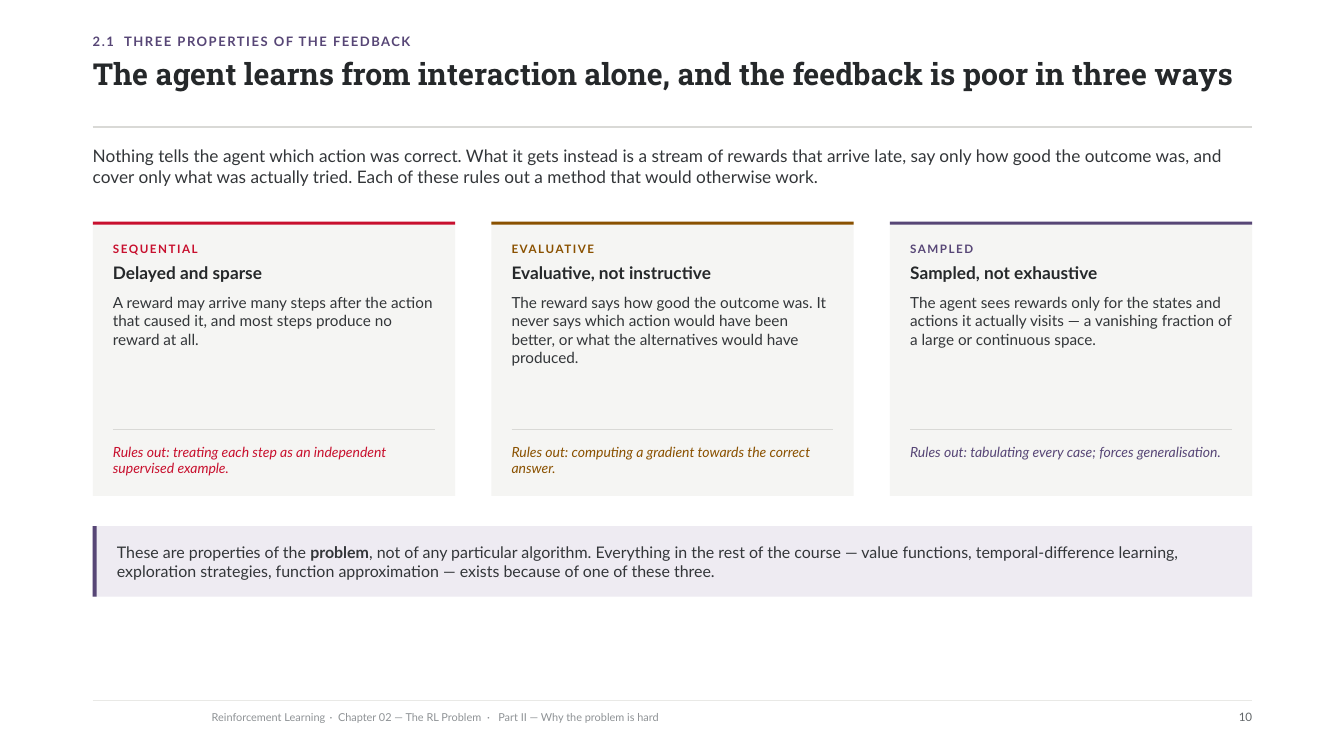
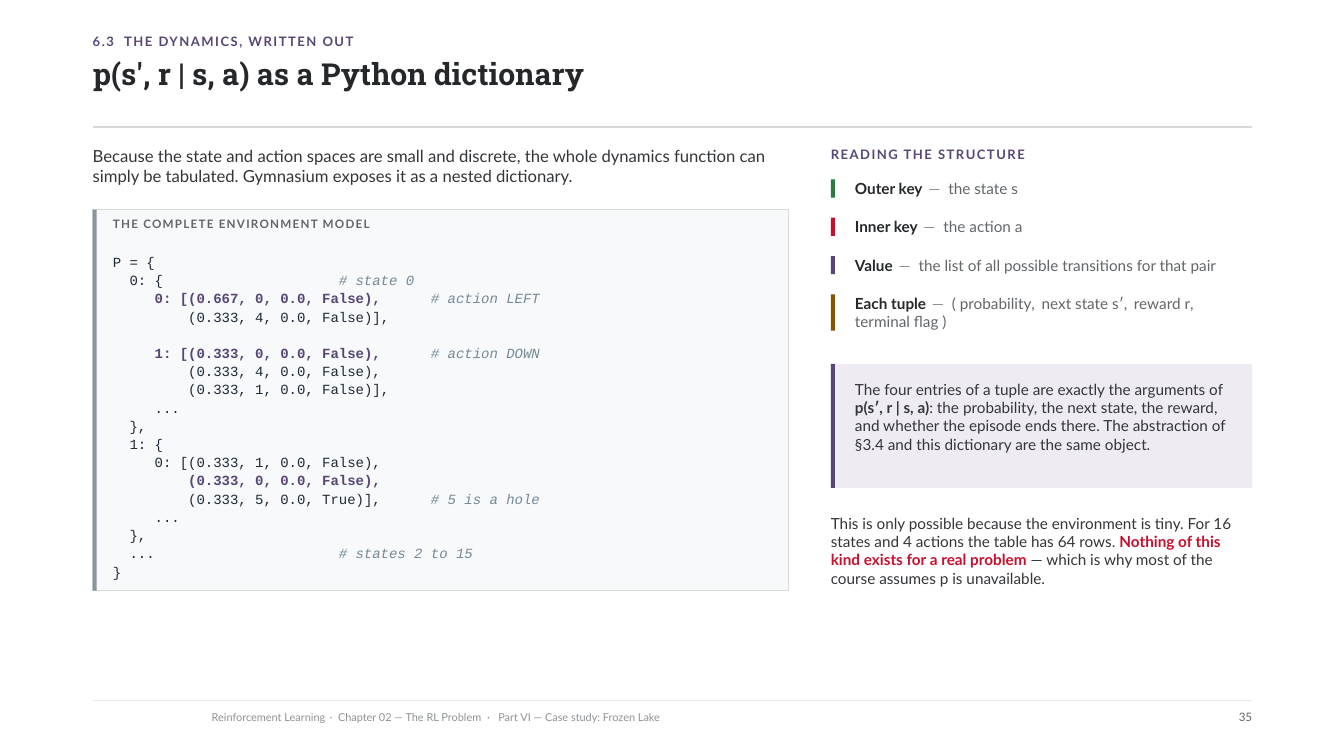
from dataclasses import dataclass, replace

from lxml import etree
from pptx import Presentation
from pptx.dml.color import RGBColor
from pptx.enum.shapes import MSO_CONNECTOR, MSO_SHAPE
from pptx.enum.text import MSO_ANCHOR, MSO_AUTO_SIZE, PP_ALIGN
from pptx.oxml.ns import qn
from pptx.util import Inches, Pt

RECTANGLE = MSO_SHAPE.RECTANGLE
STRAIGHT = MSO_CONNECTOR.STRAIGHT
TOP = MSO_ANCHOR.TOP
NO_AUTOFIT = MSO_AUTO_SIZE.NONE
ALIGN_LEFT, ALIGN_RIGHT = PP_ALIGN.LEFT, PP_ALIGN.RIGHT

PURPLE, RED, BROWN, GREEN = "574676", "C8102E", "8A5100", "2B7A3E"
INK, TEXT, GREY, PALE_GREY = "25282A", "333639", "626669", "8E9295"
RULE, FOOTER_RULE, CARD_FILL, CALLOUT_FILL = "D9D9D6", "E9E9E6", "F5F5F3", "EEEBF2"
CODE_FILL, CODE_BAR, CODE_INK, CODE_COMMENT = "F7F9FB", "8A959E", "1F2A37", "768896"

LEFT, WIDTH = 0.92, 11.5
RIGHT = LEFT + WIDTH
BAR = 0.04
PADDING = 0.2
INDENT = 0.24


@dataclass(frozen=True)
class Style:
    size: float
    color: str = TEXT
    bold: bool = False
    italic: bool = False
    spacing: float = 0
    font: str = "Lato"


KICKER = Style(9.3, PURPLE, bold=True, spacing=1.1)
TITLE = Style(21.6, INK, bold=True, font="Roboto Slab")
FOOTER = Style(7.8, PALE_GREY)
PAGE_NUMBER = Style(8.3, GREY)
BODY = Style(10.9)
CODE = Style(10, CODE_INK, font="Courier New")

FEEDBACK = {
    "number": "2.1",
    "kicker": "THREE PROPERTIES OF THE FEEDBACK",
    "title": "The agent learns from interaction alone, and the feedback is poor in three ways",
    "part": "Part II — Why the problem is hard",
    "page": "10",
    "intro": "Nothing tells the agent which action was correct. What it gets instead is a stream of "
             "rewards that arrive late, say only how good the outcome was, and cover only what was "
             "actually tried. Each of these rules out a method that would otherwise work.",
    "cards": [
        (RED, "SEQUENTIAL", "Delayed and sparse",
         "A reward may arrive many steps after the action that caused it, and most steps produce "
         "no reward at all.",
         "Rules out: treating each step as an independent supervised example."),
        (BROWN, "EVALUATIVE", "Evaluative, not instructive",
         "The reward says how good the outcome was. It never says which action would have been "
         "better, or what the alternatives would have produced.",
         "Rules out: computing a gradient towards the correct answer."),
        (PURPLE, "SAMPLED", "Sampled, not exhaustive",
         "The agent sees rewards only for the states and actions it actually visits — a vanishing "
         "fraction of a large or continuous space.",
         "Rules out: tabulating every case; forces generalisation."),
    ],
    "callout": (
        "These are properties of the ", "problem",
        ", not of any particular algorithm. Everything in the rest of the course — value functions, "
        "temporal-difference learning, exploration strategies, function approximation — exists "
        "because of one of these three."),
}

DYNAMICS = {
    "number": "6.3",
    "kicker": "THE DYNAMICS, WRITTEN OUT",
    "title": "p(s′, r | s, a) as a Python dictionary",
    "part": "Part VI — Case study: Frozen Lake",
    "page": "35",
    "intro": "Because the state and action spaces are small and discrete, the whole dynamics function "
             "can simply be tabulated. Gymnasium exposes it as a nested dictionary.",
    "code_label": "THE COMPLETE ENVIRONMENT MODEL",
    "code": """P = {
  0: {                     # state 0
     0: [(0.667, 0, 0.0, False),      # action LEFT
         (0.333, 4, 0.0, False)],

     1: [(0.333, 0, 0.0, False),      # action DOWN
         (0.333, 4, 0.0, False),
         (0.333, 1, 0.0, False)],
     ...
  },
  1: {
     0: [(0.333, 1, 0.0, False),
         (0.333, 0, 0.0, False),
         (0.333, 5, 0.0, True)],      # 5 is a hole
     ...
  },
  ...                      # states 2 to 15
}""",
    "highlighted_lines": {2, 5, 12},
    "key_label": "READING THE STRUCTURE",
    "keys": [
        (GREEN, "Outer key", ["the state s"], 1),
        (RED, "Inner key", ["the action a"], 1),
        (PURPLE, "Value", ["the list of all possible transitions for that pair"], 1),
        (BROWN, "Each tuple",
         ["( probability", "next state s′", "reward r", "terminal flag )"], 2),
    ],
    "callout": (
        "The four entries of a tuple are exactly the arguments of ", "p(s′, r | s, a)",
        ": the probability, the next state, the reward, and whether the episode ends there. "
        "The abstraction of §3.4 and this dictionary are the same object."),
    "closing": (
        "This is only possible because the environment is tiny. For 16 states and 4 actions the "
        "table has 64 rows. ", "Nothing of this kind exists for a real problem",
        " — which is why most of the course assumes p is unavailable."),
}


def rgb(color):
    return RGBColor.from_string(color)


def format_run(run, style):
    font = run.font
    font.name, font.size = style.font, Pt(style.size)
    font.bold, font.italic = style.bold, style.italic
    font.color.rgb = rgb(style.color)
    if style.spacing:
        run._r.get_or_add_rPr().set("spc", str(round(style.spacing * 100)))


def fill_text(shape, box, paragraphs, align=ALIGN_LEFT, wrap=True):
    shape.left, shape.top, shape.width, shape.height = map(Inches, box)
    frame = shape.text_frame
    frame.margin_left = frame.margin_top = frame.margin_right = frame.margin_bottom = 0
    frame.word_wrap = wrap
    frame.auto_size = NO_AUTOFIT
    frame.vertical_anchor = TOP
    for index, (line_height, space_before, runs) in enumerate(paragraphs):
        paragraph = frame.add_paragraph() if index else frame.paragraphs[0]
        paragraph.alignment = align
        paragraph.line_spacing = Pt(line_height)
        paragraph.space_before = Pt(space_before)
        for text, style in runs:
            run = paragraph.add_run()
            run.text = text
            format_run(run, style)


def add_text(slide, box, paragraphs, **options):
    fill_text(slide.shapes.add_textbox(*map(Inches, box)), box, paragraphs, **options)


def add_line_of_text(slide, box, line_height, text, style, **options):
    add_text(slide, box, [(line_height, 0, [(text, style)])], **options)


def add_rectangle(slide, box, fill, line=None):
    shape = slide.shapes.add_shape(RECTANGLE, *map(Inches, box))
    shape.shadow.inherit = False
    shape.fill.solid()
    shape.fill.fore_color.rgb = rgb(fill)
    if line:
        shape.line.color.rgb = rgb(line)
        shape.line.width = Pt(0.75)
    else:
        shape.line.fill.background()


def add_rule(slide, left, top, width, color):
    rule = slide.shapes.add_connector(
        STRAIGHT, Inches(left), Inches(top), Inches(left + width), Inches(top))
    rule.line.color.rgb = rgb(color)
    rule.line.width = Pt(0.75)
    etree.SubElement(rule._element.spPr, qn("a:effectLst"))


def add_barred_panel(slide, box, fill, bar, line=None):
    left, top, _, height = box
    add_rectangle(slide, box, fill, line)
    add_rectangle(slide, (left, top, BAR, height), bar)


def emphasised(parts, style, color=TEXT):
    before, strong, after = parts
    return [(before, style), (strong, replace(style, bold=True, color=color)), (after, style)]


def add_callout(slide, box, line_height, parts, style):
    left, top, width, height = box
    add_barred_panel(slide, box, CALLOUT_FILL, PURPLE)
    add_text(slide, (left + INDENT, top + 0.16, width - 0.42, height - 0.32),
             [(line_height, 0, emphasised(parts, style))])


def add_framed_slide(presentation, content):
    slide = presentation.slides.add_slide(presentation.slide_layouts[5])
    add_text(slide, (LEFT, 0.36, WIDTH, 0.22), [(9.3, 0, [
        (content["number"], KICKER), (" ", replace(KICKER, spacing=4)),
        (content["kicker"], KICKER)])])
    fill_text(slide.shapes.title, (LEFT, 0.6, WIDTH, 0.52),
              [(22.5, 0, [(content["title"], TITLE)])])
    add_rule(slide, LEFT, 1.26, WIDTH, RULE)
    add_rule(slide, LEFT, 6.95, WIDTH, FOOTER_RULE)
    add_text(slide, (2.1, 7.07, 9.1, 0.22), [(7.8, 0, [
        ("Reinforcement Learning", FOOTER), (" · ", replace(FOOTER, spacing=1)),
        ("Chapter 02 — The RL Problem", FOOTER), (" · ", replace(FOOTER, spacing=2)),
        (content["part"], FOOTER)])])
    add_line_of_text(slide, (RIGHT - 1.2, 7.07, 1.2, 0.22), 8.3, content["page"],
                     PAGE_NUMBER, align=ALIGN_RIGHT)
    return slide


def add_card(slide, left, width, card):
    color, label, heading, body, consequence = card
    top, height = 2.2, 2.72
    inner_left, inner_width = left + PADDING, width - 2 * PADDING
    add_rectangle(slide, (left, top, width, height), CARD_FILL)
    add_rectangle(slide, (left, top, width, 0.03), color)
    add_text(slide, (inner_left, top + PADDING, inner_width, 1.28), [
        (9.8, 0, [(label, Style(8.3, color, bold=True, spacing=1.1))]),
        (13.8, 6, [(heading, Style(12.3, INK, bold=True))]),
        (13.1, 7, [(body, BODY)])])
    add_rule(slide, inner_left, top + 2.06, inner_width, RULE)
    add_line_of_text(slide, (inner_left, top + 2.2, inner_width, 0.37), 11.8, consequence,
                     Style(10, color, italic=True))


def build_feedback(presentation):
    slide = add_framed_slide(presentation, FEEDBACK)
    add_line_of_text(slide, (LEFT, 1.44, WIDTH, 0.46), 15.1, FEEDBACK["intro"], Style(12.3))
    gap = 0.36
    count = len(FEEDBACK["cards"])
    width = (WIDTH - gap * (count - 1)) / count
    for index, card in enumerate(FEEDBACK["cards"]):
        add_card(slide, LEFT + index * (width + gap), width, card)
    add_callout(slide, (LEFT, 5.22, WIDTH, 0.7), 13.7, FEEDBACK["callout"], Style(11.4))


def code_paragraph(line, highlighted):
    statement, mark, comment = line.partition("#")
    style = replace(CODE, color=PURPLE, bold=True) if highlighted else CODE
    runs = [(statement, style)] if statement else []
    if mark:
        runs.append((mark + comment, replace(CODE, color=CODE_COMMENT, italic=True)))
    return 13, 0, runs


def add_key(slide, left, top, key):
    color, term, parts, line_count = key
    meaning = replace(BODY, color=GREY)
    runs = [(term, replace(BODY, color=INK, bold=True)),
            (" — ", replace(BODY, color=PALE_GREY, spacing=1.4))]
    for index, part in enumerate(parts):
        if index:
            runs.append((", ", replace(meaning, spacing=1)))
        runs.append((part, meaning))
    height = 0.18 * line_count
    add_text(slide, (left + INDENT, top, RIGHT - left - INDENT, height + 0.04),
             [(12.9, 0, runs)])
    add_rectangle(slide, (left, top, BAR, height), color)


def build_dynamics(presentation):
    slide = add_framed_slide(presentation, DYNAMICS)
    code_width, code_top = 6.9, 2.08
    add_line_of_text(slide, (LEFT, 1.44, code_width, 0.44), 14.5, DYNAMICS["intro"], Style(11.9))
    add_barred_panel(slide, (LEFT, code_top, code_width, 3.78), CODE_FILL, CODE_BAR, RULE)
    add_line_of_text(slide, (LEFT + PADDING, code_top + 0.09, 6.5, 0.22), 8.3,
                     DYNAMICS["code_label"], Style(8.3, GREY, bold=True, spacing=0.9))
    add_text(slide, (LEFT + PADDING, code_top + 0.42, 6.56, 3.28),
             [code_paragraph(line, index in DYNAMICS["highlighted_lines"])
              for index, line in enumerate(DYNAMICS["code"].splitlines())], wrap=False)

    left = 8.24
    width = RIGHT - left
    add_line_of_text(slide, (left, 1.46, width, 0.29), 11, DYNAMICS["key_label"], KICKER)
    for index, key in enumerate(DYNAMICS["keys"]):
        add_key(slide, left, 1.78 + 0.38 * index, key)
    add_callout(slide, (left, 3.61, width, 1.23), 13.1, DYNAMICS["callout"], BODY)
    add_text(slide, (left, 5.1, width, 0.77),
             [(13.1, 0, emphasised(DYNAMICS["closing"], BODY, RED))])


def main():
    presentation = Presentation()
    presentation.slide_width, presentation.slide_height = Inches(13.33), Inches(7.5)
    build_feedback(presentation)
    build_dynamics(presentation)
    presentation.save("out.pptx")


if __name__ == "__main__":
    main()
